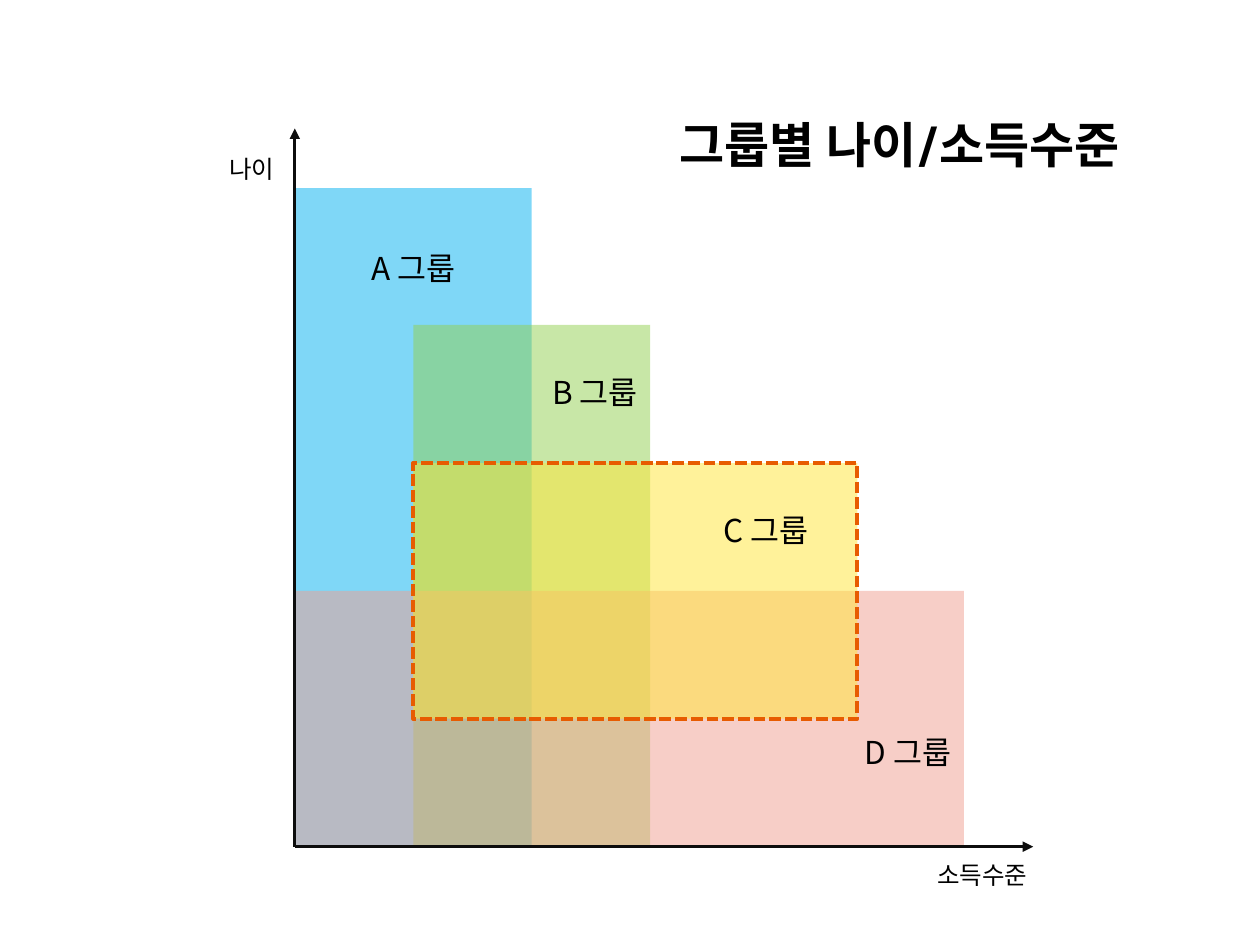
from lxml import etree
from pptx import Presentation
from pptx.dml.color import RGBColor
from pptx.enum.dml import MSO_LINE
from pptx.enum.shapes import MSO_CONNECTOR, MSO_SHAPE
from pptx.enum.text import MSO_ANCHOR, PP_ALIGN
from pptx.oxml.ns import qn
from pptx.util import Inches, Pt

RECTANGLE = MSO_SHAPE.RECTANGLE
STRAIGHT = MSO_CONNECTOR.STRAIGHT
SHORT_DASH = MSO_LINE.SQUARE_DOT
LEFT, CENTER, RIGHT = PP_ALIGN.LEFT, PP_ALIGN.CENTER, PP_ALIGN.RIGHT
TOP, MIDDLE = MSO_ANCHOR.TOP, MSO_ANCHOR.MIDDLE
KOREAN_FONT = "Noto Sans CJK KR"

# Chart grid, in inches: columns run right and rows run up from the origin
ORIGIN_X, ORIGIN_Y = 2.34, 6.72
COLUMN, ROW = 0.94, 1.015


def color(hex_string):
    return RGBColor.from_string(hex_string)


def write(shape, text, size, align, anchor, font=KOREAN_FONT, bold=False,
          top=0.05, right=0.1):
    frame = shape.text_frame
    frame.word_wrap = True
    frame.vertical_anchor = anchor
    frame.margin_left, frame.margin_right = Inches(0.1), Inches(right)
    frame.margin_top, frame.margin_bottom = Inches(top), Inches(0.05)
    paragraph = frame.paragraphs[0]
    paragraph.alignment = align
    run = paragraph.add_run()
    run.text = text
    run.font.name = font
    run.font.size = Pt(size)
    run.font.bold = bold
    run.font.color.rgb = color("000000")
    east_asian = etree.SubElement(run.font._element, qn("a:ea"))
    east_asian.set("typeface", KOREAN_FONT)


presentation = Presentation()
presentation.slide_width, presentation.slide_height = Inches(10), Inches(7.5)
slide = presentation.slides.add_slide(presentation.slide_layouts[6])

# Title
title = slide.shapes.add_textbox(Inches(5.08), Inches(0.86), Inches(4.22), Inches(0.57))
write(title, "그룹별 나이/소득수준", 28, CENTER, MIDDLE, font="Karla", bold=True, right=0.2)

# Half-transparent groups: label, fill, outline, first column, top row, columns,
# rows, label alignment, top inset, right inset
groups = [
    ("A 그룹", "00B0F0", None, 0, 5.15, 2, 5.15, CENTER, 0.48, 0.1),
    ("B 그룹", "92D050", None, 1, 4.08, 2, 4.08, RIGHT, 0.38, 0.1),
    ("D 그룹", "F19E91", None, 0, 2, 5.65, 2, RIGHT, 1.13, 0.1),
    ("C 그룹", "FFE636", "E75C01", 1, 3, 3.75, 2, RIGHT, 0.38, 0.39),
]
for label, fill, outline, column, top_row, columns, rows, align, top, right in groups:
    group = slide.shapes.add_shape(
        RECTANGLE,
        Inches(ORIGIN_X + column * COLUMN), Inches(ORIGIN_Y - top_row * ROW),
        Inches(columns * COLUMN), Inches(rows * ROW))
    group.shadow.inherit = False
    group.fill.solid()
    group.fill.fore_color.rgb = color(fill)
    fill_color = group._element.spPr.find(qn("a:solidFill"))[0]
    etree.SubElement(fill_color, qn("a:alpha")).set("val", "50000")
    if outline:
        group.line.color.rgb = color(outline)
        group.line.width = Pt(2.25)
        group.line.dash_style = SHORT_DASH
    else:
        group.line.fill.background()
    write(group, label, 18, align, TOP, top=top, right=right)

# Axes with arrowheads
for end_x, end_y in [(8.2, ORIGIN_Y), (ORIGIN_X, 1.02)]:
    axis = slide.shapes.add_connector(
        STRAIGHT, Inches(ORIGIN_X), Inches(ORIGIN_Y), Inches(end_x), Inches(end_y))
    axis.line.color.rgb = color("0D0D0D")
    axis.line.width = Pt(1.5)
    etree.SubElement(axis.line._get_or_add_ln(), qn("a:tailEnd")).set("type", "triangle")
    etree.SubElement(axis._element.spPr, qn("a:effectLst"))

# Axis labels
for text, left, top, width in [("나이", 1.72, 1.17, 0.62), ("소득수준", 7.34, 6.77, 1.02)]:
    axis_label = slide.shapes.add_textbox(
        Inches(left), Inches(top), Inches(width), Inches(0.34))
    write(axis_label, text, 14, LEFT, MIDDLE)

presentation.save("out.pptx")
